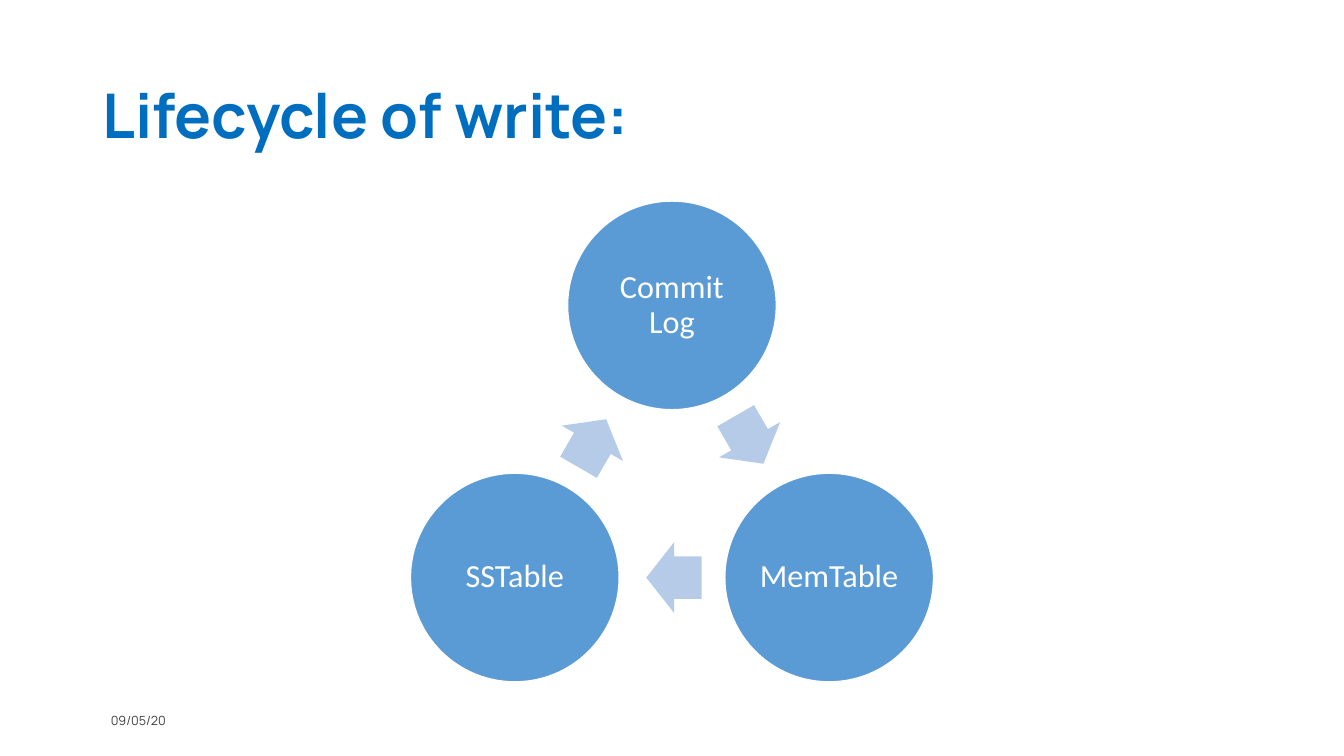
"""Builds the slide showing the write lifecycle as a ring of three stages."""
from dataclasses import dataclass
from math import cos, radians, sin

from pptx import Presentation
from pptx.dml.color import RGBColor as Rgb
from pptx.enum.shapes import MSO_SHAPE as Shape
from pptx.enum.text import MSO_ANCHOR as Anchor, PP_ALIGN as Align
from pptx.util import Inches, Pt

TITLE = "Lifecycle of write:"
STAGES = ["Commit Log", "MemTable", "SSTable"]
DATE = "09/05/20"

WIDTH, HEIGHT = 13.33, 7.5
HUB = (WIDTH / 2, 4.83)
RADIUS = 1.8
DISC, LABEL = 2.07, 1.46
ARROW = (0.55, 0.7)
LAG = 0.02


@dataclass(frozen=True)
class Theme:
    head: str = "Manrope"
    body: str = "Calibri"
    title: str = "006EBE"
    disc: str = "5B9BD5"
    arrow: str = "B5CBE7"
    white: str = "FFFFFF"
    date: str = "414141"
    big: int = 44
    mid: int = 23
    small: int = 9


theme = Theme()


def around(mid, size):
    """Return the box of a given size centred on a point."""
    return (mid[0] - size[0] / 2, mid[1] - size[1] / 2, *size)


def write(slide, box, text, font, size, color, bold=False):
    """Add a text box and return its frame."""
    frame = slide.shapes.add_textbox(*map(Inches, box)).text_frame
    frame.word_wrap = True
    frame.vertical_anchor = Anchor.MIDDLE
    frame.text = text
    style = frame.paragraphs[0].runs[0].font
    style.name, style.size, style.bold = font, Pt(size), bold
    style.color.rgb = Rgb.from_string(color)
    return frame


def draw(slide, kind, box, color):
    """Add a flat filled shape without an outline."""
    shape = slide.shapes.add_shape(kind, *map(Inches, box))
    shape.shadow.inherit = False
    shape.fill.solid()
    shape.fill.fore_color.rgb = Rgb.from_string(color)
    shape.line.fill.background()
    return shape


def stage(slide, mid, name):
    """Add a disc with its label."""
    disc = draw(slide, Shape.OVAL, around(mid, (DISC, DISC)), theme.disc)
    disc.line.color.rgb = Rgb.from_string(theme.white)
    disc.line.width = Pt(1)
    frame = write(slide, around(mid, (LABEL, LABEL)), name,
                  theme.body, theme.mid, theme.white)
    frame.margin_left = frame.margin_right = Inches(0.03)
    frame.margin_top = frame.margin_bottom = Inches(0.03)
    para = frame.paragraphs[0]
    para.alignment = Align.CENTER
    para.line_spacing = 0.9


def link(slide, start, end, turn):
    """Add an arrow halfway between two discs."""
    mid = ((start[0] + end[0]) / 2 - LAG * cos(radians(turn)),
           (start[1] + end[1]) / 2 - LAG * sin(radians(turn)))
    arrow = draw(slide, Shape.RIGHT_ARROW, around(mid, ARROW), theme.arrow)
    arrow.adjustments[0], arrow.adjustments[1] = 0.6, 0.5
    arrow.rotation = turn


def main():
    """Lay out the slide and save it."""
    deck = Presentation()
    deck.slide_width, deck.slide_height = Inches(WIDTH), Inches(HEIGHT)
    slide = deck.slides.add_slide(deck.slide_layouts[6])
    write(slide, (0.92, 0.4, 11.5, 1.45), TITLE,
          theme.head, theme.big, theme.title, True)
    step = 360 / len(STAGES)
    spots = [(HUB[0] + RADIUS * sin(radians(i * step)),
              HUB[1] - RADIUS * cos(radians(i * step)))
             for i in range(len(STAGES))]
    for i, name in enumerate(STAGES):
        stage(slide, spots[i], name)
        link(slide, spots[i], spots[(i + 1) % len(spots)], (i + 0.5) * step)
    write(slide, (1, 6.95, 1.01, 0.4), DATE,
          theme.head, theme.small, theme.date)
    deck.save("out.pptx")


if __name__ == "__main__":
    main()
